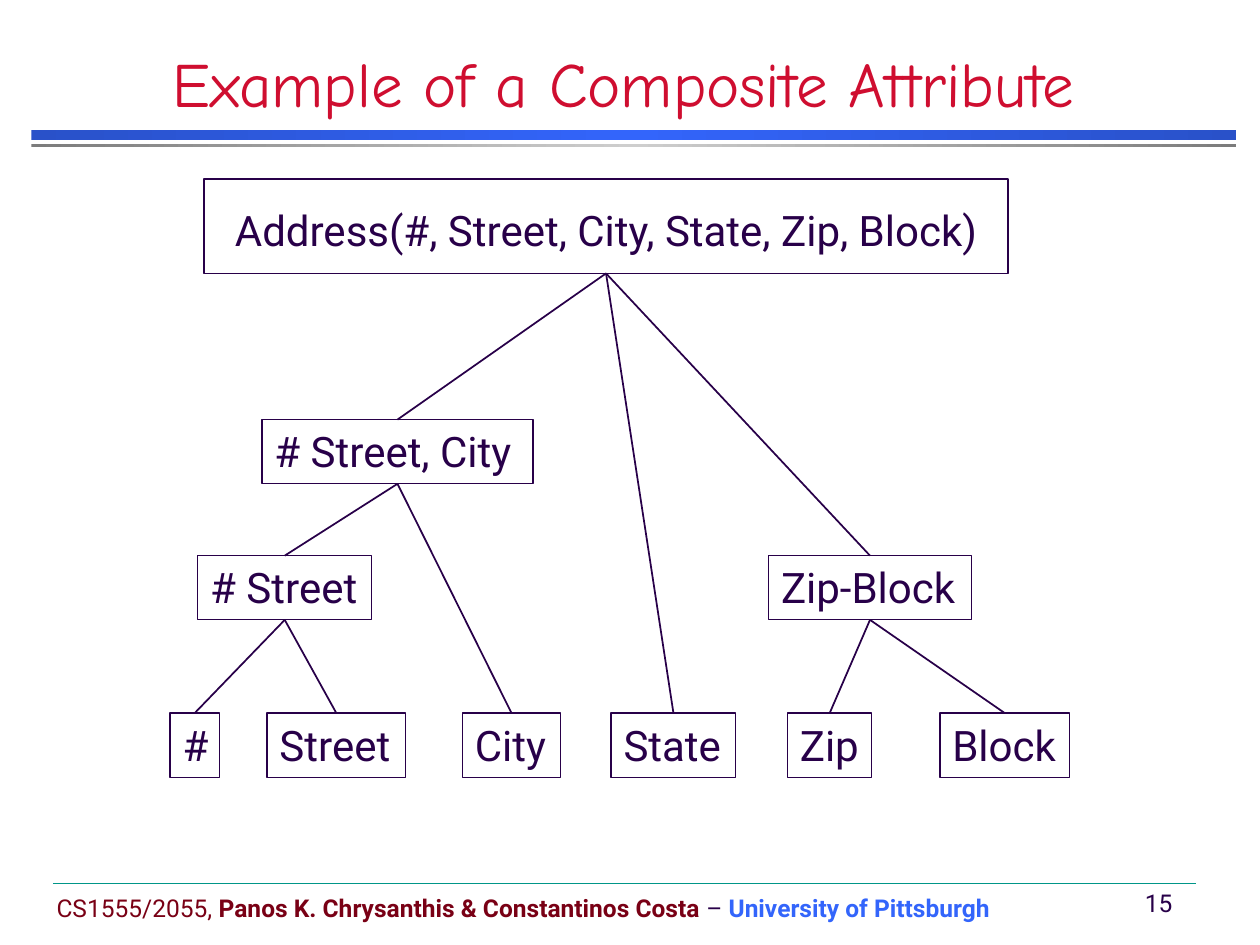
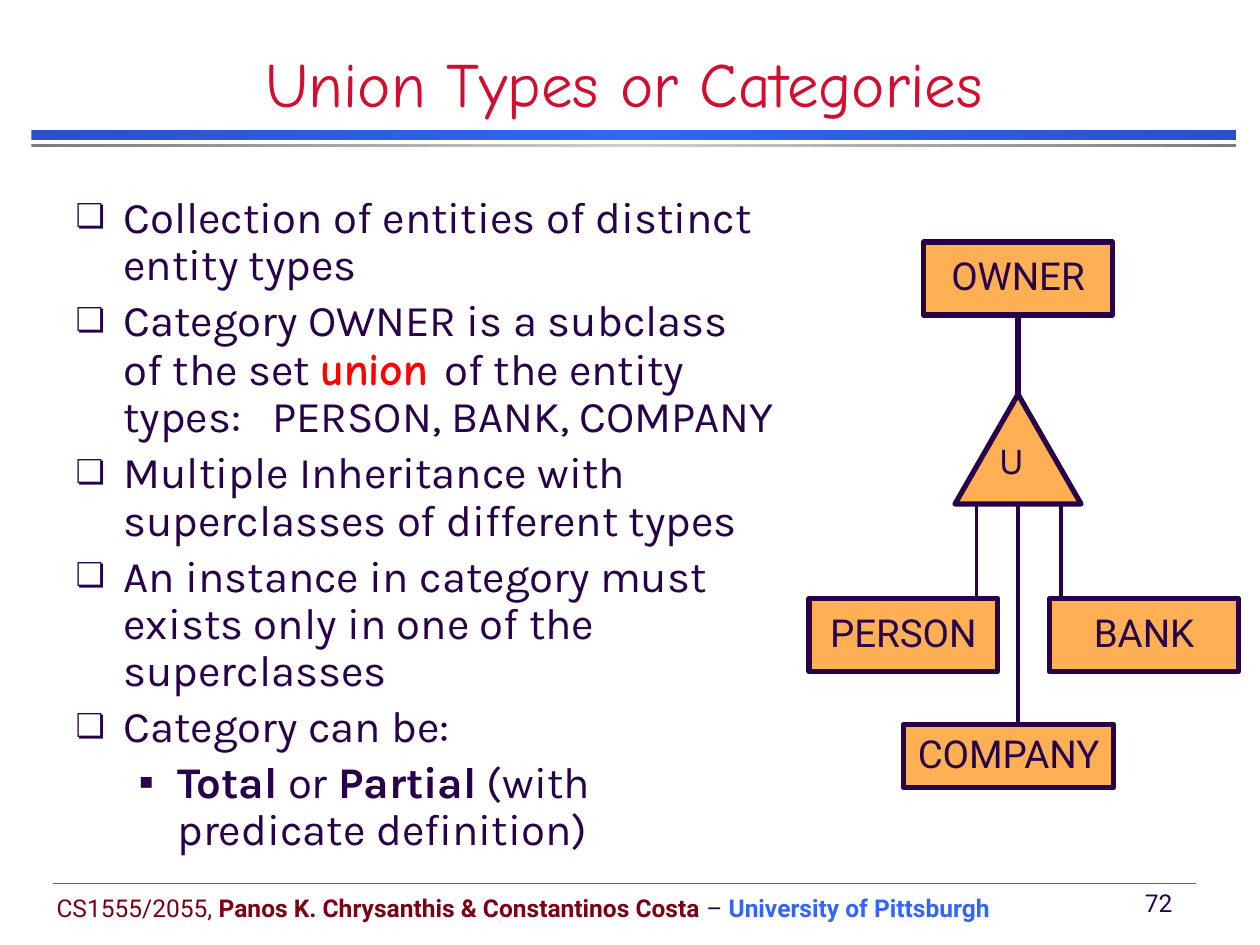
"""Build two lecture slides: a composite attribute tree and a union type diagram."""
from copy import deepcopy

from lxml.etree import SubElement
from pptx import Presentation
from pptx.dml.color import RGBColor
from pptx.enum.shapes import MSO_CONNECTOR, MSO_SHAPE
from pptx.enum.text import MSO_ANCHOR, MSO_AUTO_SIZE, PP_ALIGN
from pptx.oxml.ns import qn
from pptx.util import Inches, Pt

COLORS = {
    "ink": "280049", "title": "CF0E30", "course": "790015", "school": "3365FB",
    "blue_edge": "2951C9", "gray_edge": "7C7C7C", "gray_middle": "CECECE",
    "rule": "009688", "entity": "FFB054", "emphasis": "FF0000",
}
TITLE_FONT, LIST_FONT, LABEL_FONT = "Comic Neue", "Karla", "Roboto"

BANDS = [(1.03, 0.08, "blue_edge", "school"), (1.14, 0.03, "gray_edge", "gray_middle")]
FOOTER = [
    ("CS1555/2055, ", {"color": "course"}),
    ("Panos K. Chrysanthis & Constantinos Costa", {"color": "course", "bold": True}),
    (" – ", {}),
    ("University of Pittsburgh", {"color": "school", "bold": True}),
]

ROOT = "Address(#, Street, City, State, Zip, Block)"
LEVEL_TOPS = [3.33, 4.41, 5.66]
TREE_NODES = [
    ("# Street, City", 0, 2.08, 2.15), ("# Street", 1, 1.57, 1.38),
    ("Zip-Block", 1, 6.1, 1.61), ("#", 2, 1.35, 0.39), ("Street", 2, 2.12, 1.1),
    ("City", 2, 3.67, 0.78), ("State", 2, 4.85, 0.99), ("Zip", 2, 6.25, 0.67),
    ("Block", 2, 7.46, 1.03),
]
TREE_CHILDREN = {
    ROOT: ["# Street, City", "State", "Zip-Block"],
    "# Street, City": ["# Street", "City"],
    "# Street": ["#", "Street"],
    "Zip-Block": ["Zip", "Block"],
}

BULLETS = [
    (0, [("Collection of entities of distinct entity types", {})]),
    (0, [("Category OWNER is a subclass of the set ", {}),
         ("union ", {"font": TITLE_FONT, "size": 26, "color": "emphasis", "bold": True}),
         ("of the entity types:\tPERSON, BANK, COMPANY", {})]),
    (0, [("Multiple Inheritance with superclasses of different types", {})]),
    (0, [("An instance in category must exists only in one of the superclasses", {})]),
    (0, [("Category can be:", {})]),
    (1, [("Total", {"bold": True}), (" or ", {}), ("Partial", {"bold": True}),
         (" (with predicate definition)", {})]),
]
BULLET_STYLES = [("❏", 0.38, 0.38, 75), ("▪", 0.81, 0.31, 100)]
TAB_STOP = 1.56

AXIS = 8.08
ENTITIES = [
    ("OWNER", 7.33, 1.92, 1.5, 0.58), ("PERSON", 6.42, 4.75, 1.5, 0.58),
    ("BANK", 8.33, 4.75, 1.5, 0.58), ("COMPANY", 7.17, 5.75, 1.67, 0.5),
]
UNION_LINES = [(0, 2.5, 3.17, 3), (0, 4, 5.75, 2.25), (-0.33, 4, 4.75, 2.25), (0.34, 4, 4.75, 2.25)]


def rgb(name):
    return RGBColor.from_string(COLORS[name])


def add_runs(paragraph, runs, size, font):
    for text, style in runs:
        run = paragraph.add_run()
        run.text = text
        run.font.name = style.get("font", font)
        run.font.size = Pt(style.get("size", size))
        run.font.bold = style.get("bold", False)
        run.font.color.rgb = rgb(style.get("color", "ink"))


def place(shape, left, top, width, height):
    shape.left, shape.top = Inches(left), Inches(top)
    shape.width, shape.height = Inches(width), Inches(height)


def write(shape, runs, size, font=LABEL_FONT, align=PP_ALIGN.LEFT,
          anchor=MSO_ANCHOR.TOP, wrap=False):
    frame = shape.text_frame
    frame.auto_size = MSO_AUTO_SIZE.NONE
    frame.word_wrap = wrap
    frame.vertical_anchor = anchor
    paragraph = frame.paragraphs[0]
    paragraph.alignment = align
    add_runs(paragraph, runs, size, font)
    return paragraph


def add_box(slide, box, line_width, fill=None, kind=MSO_SHAPE.RECTANGLE):
    shape = slide.shapes.add_shape(kind, *map(Inches, box))
    shape.shadow.inherit = False
    if fill:
        shape.fill.solid()
        shape.fill.fore_color.rgb = rgb(fill)
    else:
        shape.fill.background()
    if line_width:
        shape.line.color.rgb = rgb("ink")
        shape.line.width = Pt(line_width)
    else:
        shape.line.fill.background()
    return shape


def add_line(slide, start, end, width, color="ink"):
    connector = slide.shapes.add_connector(MSO_CONNECTOR.STRAIGHT, *map(Inches, (*start, *end)))
    connector.line.color.rgb = rgb(color)
    connector.line.width = Pt(width)
    SubElement(connector._element.spPr, qn("a:effectLst"))
    return connector


def add_band(slide, top, height, edge, middle):
    band = add_box(slide, (0.25, top, 9.56, height), 0)
    band.fill.gradient()
    band.fill.gradient_angle = 0
    first, second = band.fill.gradient_stops
    first.color.rgb, first.position = rgb(edge), 0
    second.color.rgb, second.position = rgb(middle), 0.5
    stops = band._element.spPr.find(".//" + qn("a:gsLst"))
    last = deepcopy(stops[0])
    last.set("pos", "100000")
    stops.append(last)


def add_slide(presentation, title, number):
    slide = presentation.slides.add_slide(presentation.slide_layouts[1])
    for band in BANDS:
        add_band(slide, *band)
    footer = slide.shapes.add_textbox(*map(Inches, (0.35, 7.04, 8.11, 0.33)))
    write(footer, FOOTER, 14, anchor=MSO_ANCHOR.MIDDLE)
    page = slide.shapes.add_textbox(*map(Inches, (8.95, 7, 0.49, 0.33)))
    write(page, [(number, {})], 14, align=PP_ALIGN.CENTER, anchor=MSO_ANCHOR.MIDDLE)
    add_line(slide, (0.42, 7.01), (9.49, 7.01), 0.25, "rule")
    place(slide.shapes.title, 0, 0.42, 9.9, 0.58)
    write(slide.shapes.title, [(title, {"color": "title"})], 36, TITLE_FONT,
          PP_ALIGN.CENTER, MSO_ANCHOR.BOTTOM, wrap=True)
    return slide


def set_bullet(paragraph, character, margin, hanging, percent):
    properties = paragraph._p.get_or_add_pPr()
    properties.set("marL", str(Inches(margin)))
    properties.set("indent", str(-Inches(hanging)))
    color = SubElement(properties, qn("a:buClr"))
    SubElement(color, qn("a:srgbClr"), val=COLORS["ink"])
    SubElement(properties, qn("a:buSzPct"), val=str(percent * 1000))
    SubElement(properties, qn("a:buChar"), char=character)
    tabs = SubElement(properties, qn("a:tabLst"))
    SubElement(tabs, qn("a:tab"), pos=str(Inches(TAB_STOP)), algn="l")


def build_tree(slide):
    root = slide.placeholders[1]
    place(root, 1.62, 1.42, 6.38, 0.75)
    root.line.color.rgb = rgb("ink")
    root.line.width = Pt(1)
    root.text_frame.margin_top = root.text_frame.margin_bottom = Inches(0.2)
    paragraph = write(root, [(ROOT, {})], 24, align=PP_ALIGN.CENTER, wrap=True)
    paragraph.space_before = Pt(12)
    properties = paragraph._p.get_or_add_pPr()
    properties.set("marL", "0")
    properties.set("indent", "0")
    SubElement(properties, qn("a:buNone"))

    nodes = {ROOT: root}
    for text, level, left, width in TREE_NODES:
        nodes[text] = add_box(slide, (left, LEVEL_TOPS[level], width, 0.51), 0.75)
        write(nodes[text], [(text, {})], 24)
    for parent, children in TREE_CHILDREN.items():
        for child in children:
            connector = add_line(slide, (0, 0), (1, 1), 1)
            connector.begin_connect(nodes[parent], 2)
            connector.end_connect(nodes[child], 0)


def build_union(slide):
    body = slide.placeholders[1]
    place(body, 0.5, 1.5, 5.75, 5.42)
    frame = body.text_frame
    frame.auto_size = MSO_AUTO_SIZE.NONE
    for index, (level, runs) in enumerate(BULLETS):
        paragraph = frame.add_paragraph() if index else frame.paragraphs[0]
        paragraph.level = level
        paragraph.line_spacing = 0.9
        set_bullet(paragraph, *BULLET_STYLES[level])
        add_runs(paragraph, runs, 25, LIST_FONT)

    add_box(slide, (AXIS - 0.5, 3.13, 1, 0.87), 3, "entity", MSO_SHAPE.ISOSCELES_TRIANGLE)
    label = slide.shapes.add_textbox(*map(Inches, (7.83, 3.45, 0.4, 0.47)))
    write(label, [("U", {})], 22, LIST_FONT).line_spacing = 0.9
    for text, *box in ENTITIES:
        entity = add_box(slide, box, 3, "entity")
        write(entity, [(text, {})], 22, align=PP_ALIGN.CENTER,
              anchor=MSO_ANCHOR.MIDDLE).line_spacing = 0.9
    for offset, top, bottom, width in UNION_LINES:
        add_line(slide, (AXIS + offset, top), (AXIS + offset, bottom), width)


def main():
    presentation = Presentation()
    presentation.slide_width, presentation.slide_height = Inches(10), Inches(7.5)
    build_tree(add_slide(presentation, "Example of a Composite Attribute", "15"))
    build_union(add_slide(presentation, "Union Types or Categories", "72"))
    presentation.save("out.pptx")


if __name__ == "__main__":
    main()
